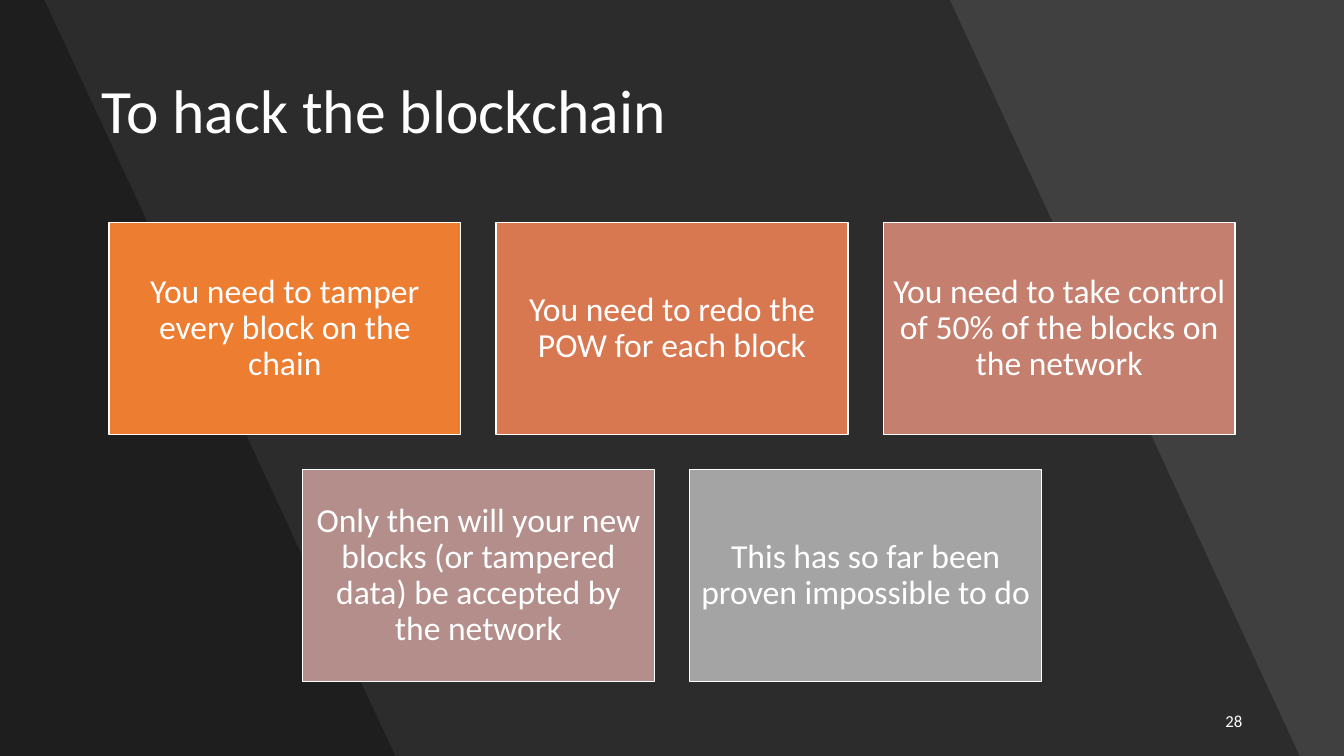
"""Build the slide 'To hack the blockchain' with five steps in two centred rows."""
import lxml.etree
import pptx
import pptx.dml.color
import pptx.enum.shapes
import pptx.enum.text
import pptx.oxml.ns
import pptx.util

THEME = {"font": "Calibri", "back": "404040", "shade": "000000", "shade_alpha": 30, "text": "FFFFFF",
         "title": 44, "body": 24, "number": 12}
WIDTH, HEIGHT = 13.33, 7.5
BOX_W, BOX_H, GAP, TOP = 3.49, 2.1, 0.35, 2.21
ROWS = [
    [("You need to tamper every block on the chain", "ED7D31"),
     ("You need to redo the POW for each block", "D77850"),
     ("You need to take control of 50% of the blocks on the network", "C47F6E")],
    [("Only then will your new blocks (or tampered data) be accepted by the network", "B38E8A"),
     ("This has so far been proven impossible to do", "A4A4A4")],
]
ALIGN = pptx.enum.text.PP_ALIGN
inch = pptx.util.Inches


def paint(fill, color):
    fill.solid()
    fill.fore_color.rgb = pptx.dml.color.RGBColor.from_string(color)


def write(sp, text, size, align, spacing=0.9, inset=0.05):
    tf = sp.text_frame
    tf.word_wrap = True
    tf.vertical_anchor = pptx.enum.text.MSO_ANCHOR.MIDDLE
    tf.margin_left = tf.margin_right = inch(0.1)
    tf.margin_top = tf.margin_bottom = inch(inset)
    p = tf.paragraphs[0]
    p.alignment = align
    p.line_spacing = spacing
    r = p.add_run()
    r.text = text
    r.font.name = THEME["font"]
    r.font.size = pptx.util.Pt(THEME[size])
    paint(r.font.fill, THEME["text"])


prs = pptx.Presentation()
prs.slide_width, prs.slide_height = inch(WIDTH), inch(HEIGHT)
s = prs.slides.add_slide(prs.slide_layouts[6])
paint(s.background.fill, THEME["back"])

for top_edge, bottom_edge in [(9.42, 12.89), (0.44, 3.92)]:
    outline = s.shapes.build_freeform(0, 0)
    corners = [(top_edge, 0), (bottom_edge, HEIGHT), (0, HEIGHT)]
    outline.add_line_segments([(inch(x), inch(y)) for x, y in corners], close=True)
    sp = outline.convert_to_shape()
    sp.shadow.inherit = False
    sp.line.fill.background()
    paint(sp.fill, THEME["shade"])
    color = sp.fill._xPr.find(".//" + pptx.oxml.ns.qn("a:srgbClr"))
    lxml.etree.SubElement(color, pptx.oxml.ns.qn("a:alpha"), val=str(THEME["shade_alpha"] * 1000))

title = s.shapes.add_textbox(inch(0.91), inch(0.4), inch(11.51), inch(1.45))
write(title, "To hack the blockchain", "title", ALIGN.LEFT)
number = s.shapes.add_textbox(inch(9.42), inch(6.95), inch(3), inch(0.4))
write(number, "28", "number", ALIGN.RIGHT, spacing=1.0)

for row, steps in enumerate(ROWS):
    left = (WIDTH - len(steps) * (BOX_W + GAP) + GAP) / 2
    for col, (text, color) in enumerate(steps):
        sp = s.shapes.add_shape(
            pptx.enum.shapes.MSO_SHAPE.RECTANGLE,
            inch(left + col * (BOX_W + GAP)), inch(TOP + row * (BOX_H + GAP)), inch(BOX_W), inch(BOX_H))
        sp.shadow.inherit = False
        paint(sp.fill, color)
        paint(sp.line.fill, THEME["text"])
        sp.line.width = pptx.util.Pt(1)
        write(sp, text, "body", ALIGN.CENTER, inset=0.1)

prs.save("out.pptx")
